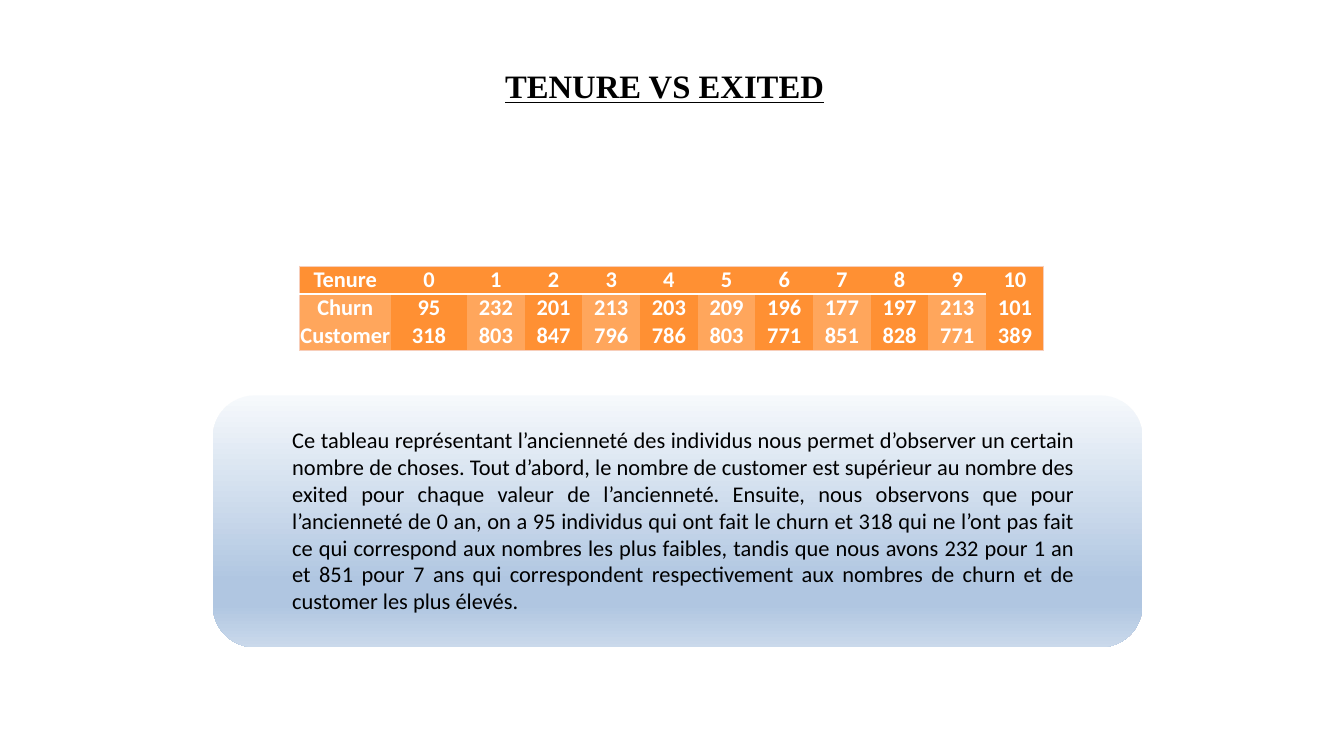
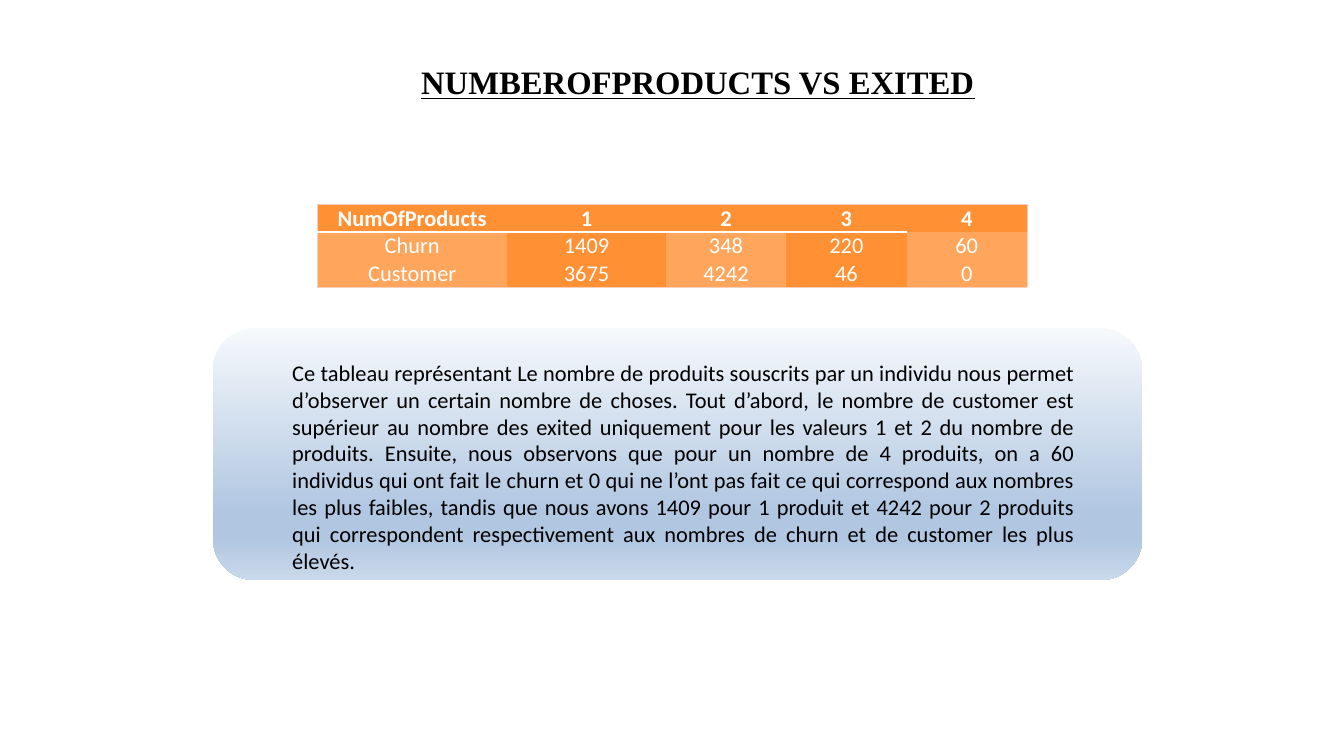
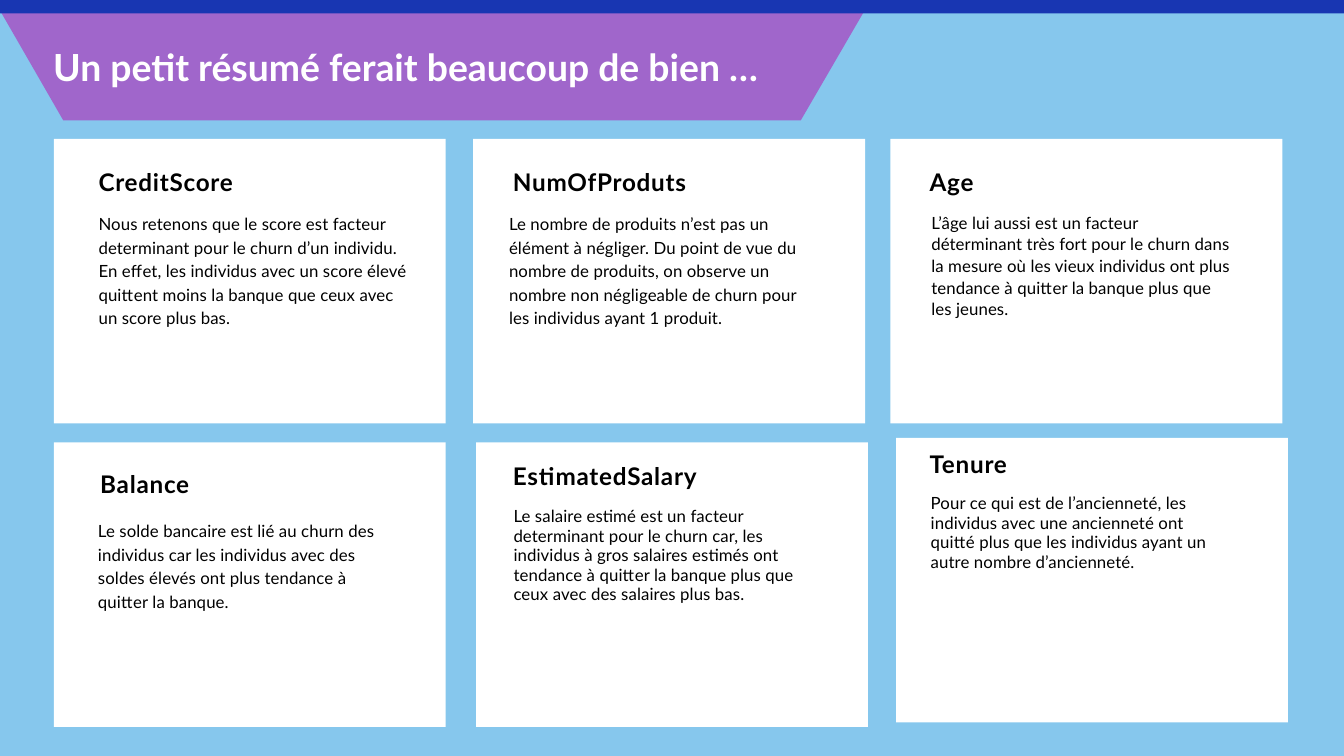
from pptx import Presentation
from pptx.dml.color import RGBColor
from pptx.enum.shapes import MSO_SHAPE
from pptx.enum.text import MSO_ANCHOR, MSO_AUTO_SIZE, PP_ALIGN
from pptx.oxml.ns import qn
from pptx.util import Inches, Pt
from lxml.etree import SubElement

HUES = {
    "white": "FFFFFF", "black": "000000", "sky": "86C7ED", "navy": "1836B2",
    "violet": "A066CB", "orange": "FF9033", "peach": "FFA65C", "edge": "F7CEBB",
    "mist": "F6F9FC", "steel": "B0C6E1", "haze": "CAD9EB",
}
FADE = [(0, "mist"), (74, "steel"), (83, "steel"), (100, "haze")]
COLS, ROWS = 240, 135
PLAIN = "{2D5ABB26-0587-4C30-8999-92F81FD0307C}"

TENURE = [
    ["Tenure", *range(11)],
    ["Churn", 95, 232, 201, 213, 203, 209, 196, 177, 197, 213, 101],
    ["Customer", 318, 803, 847, 796, 786, 803, 771, 851, 828, 771, 389],
]
GOODS = [
    ["NumOfProducts", 1, 2, 3, 4],
    ["Churn", 1409, 348, 220, 60],
    ["Customer", 3675, 4242, 46, 0],
]
TENURE_NOTE = (
    "Ce tableau représentant l’ancienneté des individus nous permet d’observer un certain "
    "nombre de choses. Tout d’abord, le nombre de customer est supérieur au nombre des exited "
    "pour chaque valeur de l’ancienneté. Ensuite, nous observons que pour l’ancienneté de 0 an, "
    "on a 95 individus qui ont fait le churn et 318 qui ne l’ont pas fait ce qui correspond aux "
    "nombres les plus faibles, tandis que nous avons 232 pour 1 an et 851 pour 7 ans qui "
    "correspondent respectivement aux nombres de churn et de customer les plus élevés."
)
GOODS_NOTE = (
    "Ce tableau représentant Le nombre de produits souscrits par un individu nous permet "
    "d’observer un certain nombre de choses. Tout d’abord, le nombre de customer est supérieur "
    "au nombre des exited uniquement pour les valeurs 1 et 2 du nombre de produits. Ensuite, "
    "nous observons que pour un nombre de 4 produits, on a 60 individus qui ont fait le churn "
    "et 0 qui ne l’ont pas fait ce qui correspond aux nombres les plus faibles, tandis que nous "
    "avons 1409 pour 1 produit et 4242 pour 2 produits qui correspondent respectivement aux "
    "nombres de churn et de customer les plus élevés."
)
CARDS = [
    ("CreditScore", (9.6, 24.8), (17.6, 29.8), (17.6, 37.6), 0, 25.2, 5,
     "Nous retenons que le score est facteur determinant pour le churn d’un individu. En effet, "
     "les individus avec un score élevé quittent moins la banque que ceux avec un score plus bas."),
    ("NumOfProduts", (84.5, 24.8), (91.6, 29.9), (88.4, 37.6), 2.5, 25.2, 5,
     "Le nombre de produits n’est pas un élément à négliger. Du point de vue du nombre de "
     "produits, on observe un nombre non négligeable de churn pour les individus ayant 1 produit."),
    ("Age", (159, 24.8), (166, 29.9), (164, 37.7), 2.3, 23.1, 5,
     "L’âge lui aussi est un facteur déterminant très fort pour le churn dans la mesure où les "
     "vieux individus ont plus tendance à quitter la banque plus que les jeunes."),
    ("Balance", (9.6, 79), (17.9, 83.8), (15, 92.4), 2.5, 25.2, 7,
     "Le solde bancaire est lié au churn des individus car les individus avec des soldes élevés "
     "ont plus tendance à quitter la banque."),
    ("EstimatedSalary", (85, 79), (91.6, 82.3), (89.5, 90.4), 2.2, 21, 5,
     "Le salaire estimé est un facteur determinant pour le churn car, les individus à gros "
     "salaires estimés ont tendance à quitter la banque plus que ceux avec des salaires plus bas."),
    ("Tenure", (160, 78.2), (166, 80.3), (164, 88.1), 2.2, 21, 4,
     "Pour ce qui est de l’ancienneté, les individus avec une ancienneté ont quitté plus que les "
     "individus ayant un autre nombre d’ancienneté."),
]


def hue(name):
    """Give the colour of a name."""
    return RGBColor.from_string(HUES[name])


class Deck:
    """Hold the style and the current slide."""

    def __init__(self):
        """Open a wide deck."""
        self.deck = Presentation()
        self.deck.slide_width, self.deck.slide_height = Inches(20), Inches(11.25)
        self.slide = None

    def x(self, cols):
        """Turn columns into a length."""
        return round(self.deck.slide_width * cols / COLS)

    def y(self, rows):
        """Turn rows into a length."""
        return round(self.deck.slide_height * rows / ROWS)

    def area(self, left, top, wide, high):
        """Turn a grid area into lengths."""
        return self.x(left), self.y(top), self.x(wide), self.y(high)

    def page(self, back):
        """Start a title-only slide."""
        self.slide = self.deck.slides.add_slide(self.deck.slide_layouts[5])
        fill = self.slide.background.fill
        fill.solid()
        fill.fore_color.rgb = hue(back)

    def label(self, box, text, size, face, tint="black", bold=False, line=False,
              align=PP_ALIGN.LEFT, lead=None, inset=True, space=0, dent=0):
        """Set and format the one paragraph of a box."""
        frame = box.text_frame
        frame.text = text
        frame.word_wrap = True
        frame.auto_size = MSO_AUTO_SIZE.SHAPE_TO_FIT_TEXT
        frame.vertical_anchor = MSO_ANCHOR.TOP
        if not inset:
            frame.margin_left = frame.margin_right = frame.margin_top = frame.margin_bottom = 0
        para = frame.paragraphs[0]
        para.alignment = align
        if lead:
            para.line_spacing = Pt(lead)
        if dent:
            props = para._p.get_or_add_pPr()
            props.set("marL", str(self.x(dent)))
            props.set("indent", "0")
        run = para.runs[0]
        self.font(run.font, size, face, tint, bold)
        run.font.underline = line
        if space:
            run._r.get_or_add_rPr().set("spc", str(space))

    def font(self, font, size, face, tint, bold):
        """Style a font."""
        font.size, font.name, font.bold = Pt(size), face, bold
        font.color.rgb = hue(tint)

    def title(self, text, area, size=35, face="Times New Roman", **look):
        """Place the title in front of what is drawn so far."""
        box = self.slide.shapes.title
        box.left, box.top, box.width, box.height = self.area(*area)
        self.slide.shapes._spTree.append(box._element)
        self.label(box, text, size, face, bold=True, **look)

    def text(self, text, area, size, face, **look):
        """Add a text box."""
        box = self.slide.shapes.add_textbox(*self.area(*area))
        self.label(box, text, size, face, **look)

    def paint(self, shape, tint):
        """Give a shape a flat fill without line or shadow."""
        shape.shadow.inherit = False
        shape.line.fill.background()
        shape.fill.solid()
        shape.fill.fore_color.rgb = hue(tint)

    def rect(self, area, tint):
        """Add a flat rectangle."""
        self.paint(self.slide.shapes.add_shape(MSO_SHAPE.RECTANGLE, *self.area(*area)), tint)

    def outline(self, points, tint):
        """Add a closed polygon."""
        spots = [(self.x(col), self.y(row)) for col, row in points]
        pen = self.slide.shapes.build_freeform(*spots[0])
        pen.add_line_segments(spots[1:], close=True)
        self.paint(pen.convert_to_shape(), tint)

    def panel(self, area):
        """Add a rounded panel that fades downwards."""
        shape = self.slide.shapes.add_shape(MSO_SHAPE.ROUNDED_RECTANGLE, *self.area(*area))
        shape.shadow.inherit = False
        shape.line.fill.background()
        shape.fill.gradient()
        shape.fill.gradient_angle = 270
        stops = shape._element.spPr.find(qn("a:gradFill")).find(qn("a:gsLst"))
        for stop in list(stops):
            stops.remove(stop)
        for share, tint in FADE:
            stop = SubElement(stops, qn("a:gs"), pos=str(share * 1000))
            SubElement(stop, qn("a:srgbClr"), val=HUES[tint])

    def edge(self, cell, side, tint, width):
        """Draw one side of a cell."""
        line = SubElement(cell._tc.get_or_add_tcPr(), qn("a:ln" + side), w=str(Pt(width)))
        SubElement(SubElement(line, qn("a:solidFill")), qn("a:srgbClr"), val=HUES[tint])

    def table(self, data, left, top, wides, heavy):
        """Add a striped table; heavy sets bold type below the header."""
        high, last, foot = 4.92, len(wides) - 1, len(data) - 1
        area = self.area(left, top, sum(wides), high * len(data))
        grid = self.slide.shapes.add_table(len(data), len(wides), *area).table
        grid.horz_banding = grid.first_row = False
        grid._tbl.tblPr[0].text = PLAIN
        for col, wide in zip(grid.columns, wides):
            col.width = self.x(wide)
        for r, row in enumerate(data):
            grid.rows[r].height = self.y(high)
            for c, value in enumerate(row):
                cell = grid.cell(r, c)
                cell.margin_left = cell.margin_right = cell.margin_top = Inches(0.01)
                cell.margin_bottom = 0
                cell.vertical_anchor = MSO_ANCHOR.BOTTOM
                for side, there in (("L", c == 0), ("R", c == last), ("T", r == 0)):
                    if there:
                        self.edge(cell, side, "edge", 0.75)
                if r == 0 and c < last:
                    self.edge(cell, "B", "white", 3 if heavy else 2)
                elif r == foot:
                    self.edge(cell, "B", "edge", 0.75)
                cell.fill.solid()
                cell.fill.fore_color.rgb = hue("peach" if r and c % 2 == 0 else "orange")
                cell.text = str(value)
                para = cell.text_frame.paragraphs[0]
                para.alignment = PP_ALIGN.CENTER
                self.font(para.runs[0].font, 24, "Calibri", "white", heavy or r == 0)

    def note(self, text, top, high):
        """Add a panel with its comment."""
        self.panel((38, top, 166, 45))
        self.text(text, (51, top + 4.9, 142, high), 24, "Calibri", align=PP_ALIGN.JUSTIFY)

    def card(self, name, spot, head, body, dent, lead, lines, text):
        """Add a white card with a heading and a text."""
        self.rect((*spot, 70, 50.8), "white")
        self.text(text, (*body, 56, lines * lead / 6), 18, "Lato",
                  lead=lead, inset=False, space=10, dent=dent)
        self.text(name, (*head, 56, 5.2), 26, "Lato",
                  bold=True, lead=31.2, inset=False, space=80)


def main():
    """Build the three slides."""
    deck = Deck()

    deck.page("white")
    deck.table(TENURE, 53.5, 47.5, [16.3, 13.6] + [10.3] * 10, True)
    deck.note(TENURE_NOTE, 70.6, 35.2)
    deck.title("TENURE VS EXITED", (89, 11.2, 62, 8.3), line=True)

    deck.page("white")
    deck.note(GOODS_NOTE, 58.6, 40)
    deck.table(GOODS, 56.6, 36.5, [34, 28.3] + [21.5] * 3, False)
    deck.title("NUMBEROFPRODUCTS VS EXITED", (74, 10.5, 104, 8.3), line=True)

    deck.page("sky")
    deck.outline([(11.3, 21.5), (143, 21.5), (154.5, 1.7), (143, -18.1),
                  (11.3, -18.1), (-0.1, 1.7)], "violet")
    deck.rect((0, 0, COLS, 2.4), "navy")
    deck.title("Un petit résumé ferait beaucoup de bien …", (9.5, 6.5, 136, 8.9),
               40, "Lato", tint="white", lead=56, inset=False)
    for card in CARDS:
        deck.card(*card)

    deck.deck.save("out.pptx")


if __name__ == "__main__":
    main()
